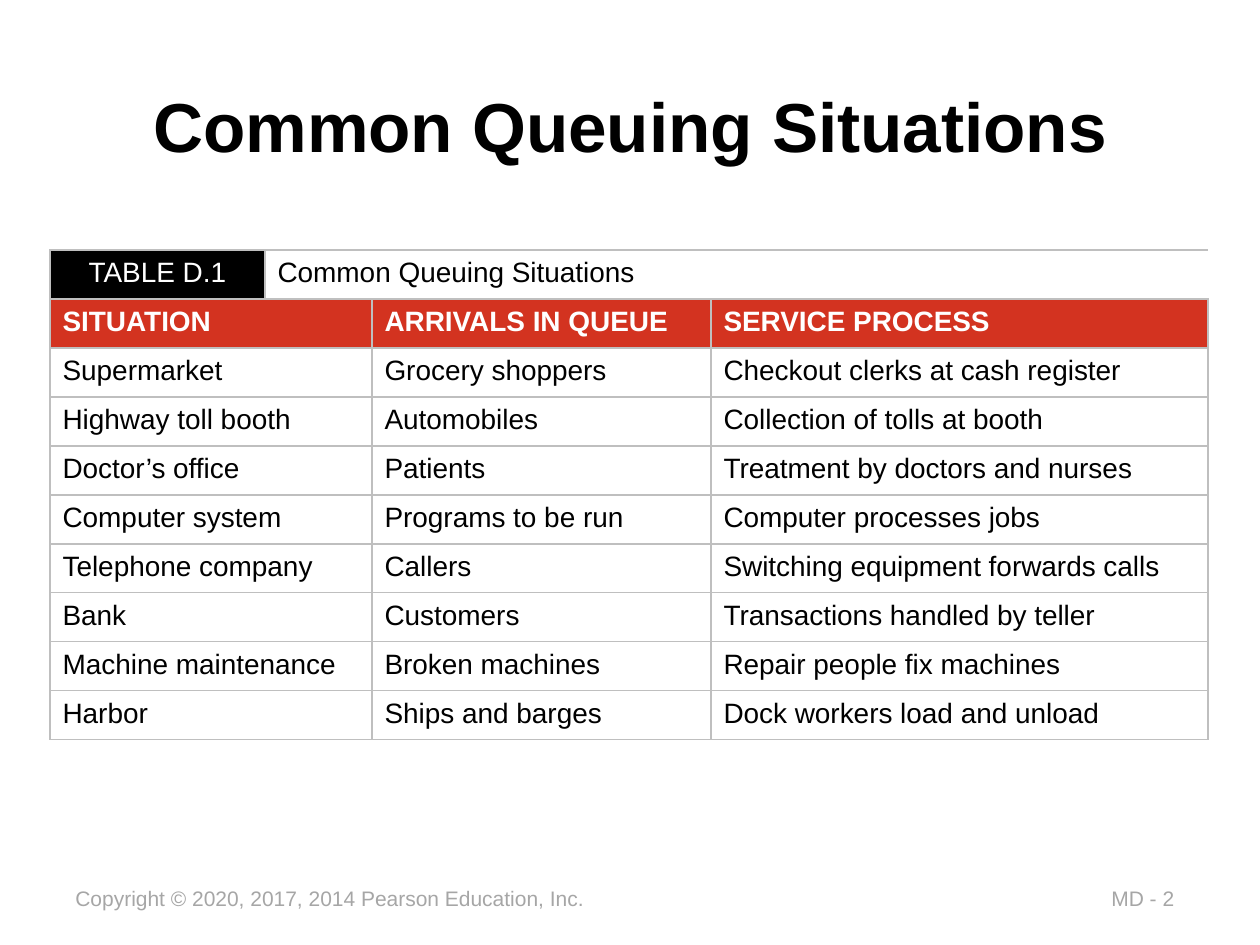
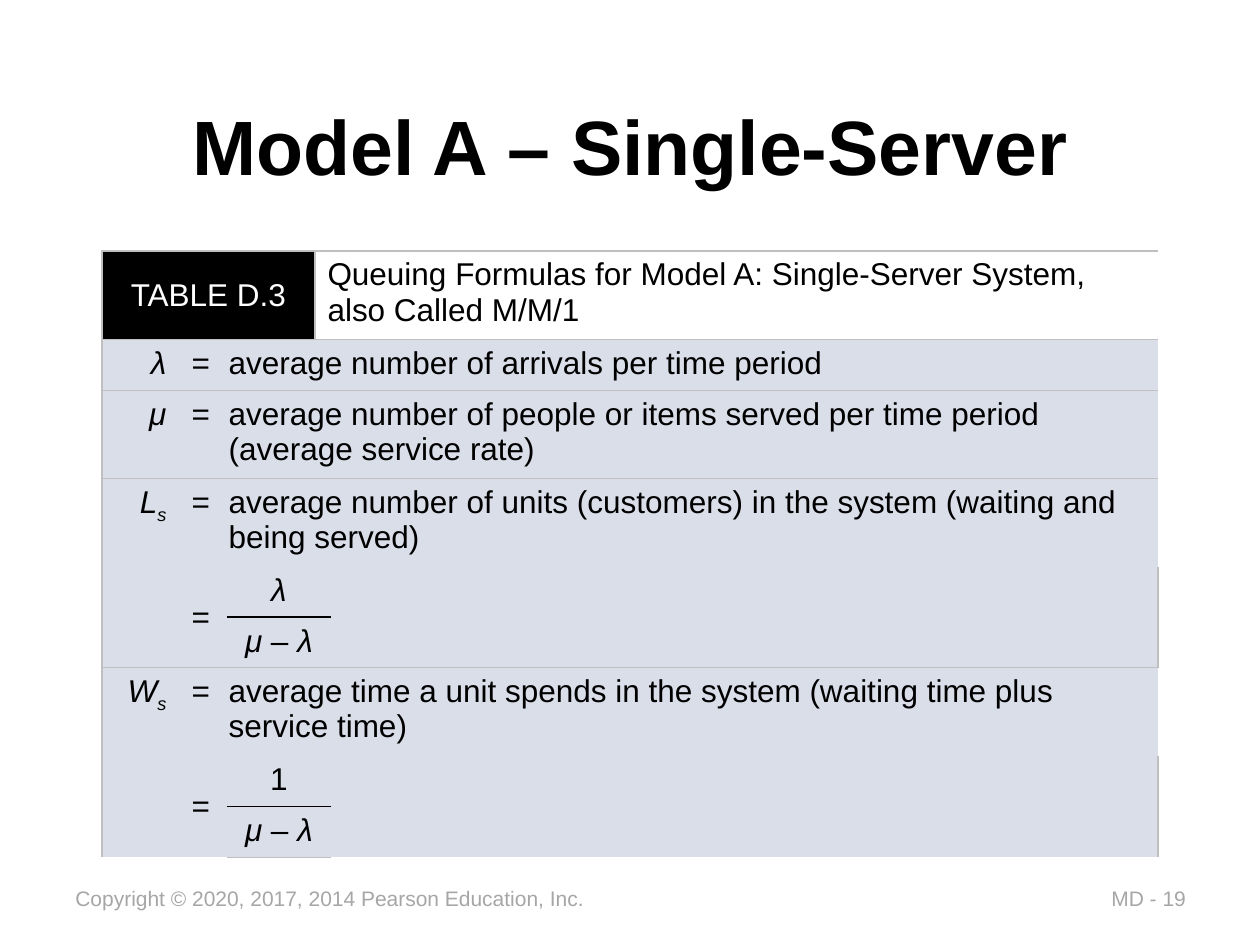
"""Builds two slides on queuing models, each with a title, a table and a footer."""
import pptx
import pptx.util
import pptx.dml.color
import pptx.enum.text
import pptx.oxml.ns
import lxml.etree

SCALE = 914400 / 126
BLACK, WHITE, GREY, RULE = "000000", "FFFFFF", "A6A6A6", "BFBFBF"
RED, PALE = "D33320", "D9DEE9"
ALIGN = pptx.enum.text.PP_ALIGN
MIDDLE = pptx.enum.text.MSO_ANCHOR.MIDDLE
TOP = pptx.enum.text.MSO_ANCHOR.TOP
GRID = dict.fromkeys("LRTB", RULE)


def px(count):
    return pptx.util.Emu(round(count * SCALE))


def hue(code):
    return pptx.dml.color.RGBColor.from_string(code)


class Deck:
    def __init__(self, font):
        self.font = font
        self.show = pptx.Presentation()
        self.show.slide_width, self.show.slide_height = px(1260), px(945)
        self.slide = None

    def ink(self, para, runs, size, color=BLACK, align=ALIGN.LEFT):
        para.alignment = align
        for text, style in runs:
            run = para.add_run()
            run.text = text
            font = run.font
            font.name, font.size = self.font, pptx.util.Pt(size)
            font.color.rgb = hue(color)
            font.bold, font.italic = "b" in style, "i" in style
            if "s" in style:
                run._r.get_or_add_rPr().set("baseline", "-25000")

    def start(self, title, box, size, page):
        self.slide = self.show.slides.add_slide(self.show.slide_layouts[5])
        head = self.slide.shapes.title
        head.left, head.top, head.width, head.height = map(px, box)
        head.text_frame.vertical_anchor = MIDDLE
        self.ink(head.text_frame.paragraphs[0], [(title, "b")], size, align=ALIGN.CENTER)
        self.note(63, 539, "Copyright © 2020, 2017, 2014 Pearson Education, Inc.")
        self.note(1099, 103, f"MD - {page}")

    def note(self, left, width, text):
        frame = self.slide.shapes.add_textbox(px(left), px(879), px(width), px(38)).text_frame
        frame.word_wrap = False
        self.ink(frame.paragraphs[0], [(text, "")], 12, GREY)

    def table(self, left, top, cols, rows):
        grid = self.slide.shapes.add_table(
            len(rows), len(cols), px(left), px(top), px(sum(cols)), px(sum(rows))).table
        grid.first_row = grid.horz_banding = False
        for col, width in zip(grid.columns, cols):
            col.width = px(width)
        for row, height in zip(grid.rows, rows):
            row.height = px(height)
        return grid

    def edge(self, cell, lines):
        props = cell._tc.get_or_add_tcPr()
        qn = pptx.oxml.ns.qn
        for side in "LRTB":
            line = lxml.etree.SubElement(props, qn(f"a:ln{side}"), w="12700")
            if side in lines:
                fill = lxml.etree.SubElement(line, qn("a:solidFill"))
                lxml.etree.SubElement(fill, qn("a:srgbClr"), val=lines[side])
            else:
                lxml.etree.SubElement(line, qn("a:noFill"))

    def cell(self, grid, row, col, runs, size, span=(1, 1), fill=None, lines=GRID,
             anchor=MIDDLE, hang=0, space=None, **look):
        last, end = row + span[0] - 1, col + span[1] - 1
        for y in range(row, last + 1):
            for x in range(col, end + 1):
                outer = {"L": x == col, "R": x == end, "T": y == row, "B": y == last}
                part = grid.cell(y, x)
                self.edge(part, {side: tint for side, tint in lines.items() if outer[side]})
                if fill:
                    part.fill.solid()
                    part.fill.fore_color.rgb = hue(fill)
                else:
                    part.fill.background()
        first = grid.cell(row, col)
        if span != (1, 1):
            first.merge(grid.cell(last, end))
        first.vertical_anchor = anchor
        para = first.text_frame.paragraphs[0]
        if hang:
            props = para._p.get_or_add_pPr()
            props.set("marL", str(px(hang)))
            props.set("indent", str(-px(hang)))
        if space:
            para.line_spacing = space
        self.ink(para, runs, size, **look)


def list_cases(deck):
    cases = [
        ("SITUATION", "ARRIVALS IN QUEUE", "SERVICE PROCESS"),
        ("Supermarket", "Grocery shoppers", "Checkout clerks at cash register"),
        ("Highway toll booth", "Automobiles", "Collection of tolls at booth"),
        ("Doctor’s office", "Patients", "Treatment by doctors and nurses"),
        ("Computer system", "Programs to be run", "Computer processes jobs"),
        ("Telephone company", "Callers", "Switching equipment forwards calls"),
        ("Bank", "Customers", "Transactions handled by teller"),
        ("Machine maintenance", "Broken machines", "Repair people fix machines"),
        ("Harbor", "Ships and barges", "Dock workers load and unload"),
    ]
    deck.start("Common Queuing Situations", (95, 32, 1071, 185), 39.6, 2)
    grid = deck.table(50, 250, [215, 107, 339, 497], [49] * 10)
    deck.cell(grid, 0, 0, [("TABLE D.1", "")], 16, fill=BLACK, space=0.9,
              color=WHITE, align=ALIGN.CENTER)
    deck.cell(grid, 0, 1, [("Common Queuing Situations", "")], 16, (1, 3), space=0.9)
    for row, case in enumerate(cases, 1):
        head = row == 1
        for col, span, text in zip((0, 2, 3), (2, 1, 1), case):
            deck.cell(grid, row, col, [(text, "b" if head else "")], 16, (1, span),
                      fill=RED if head else None, space=0.9,
                      color=WHITE if head else BLACK)


def list_terms(deck):
    lower = [("μ", "i"), (" – ", ""), ("λ", "i")]
    terms = [
        ([("λ", "i")], "average number of arrivals per time period", None),
        ([("μ", "i")], "average number of people or items served per time period "
         "(average service rate)", None),
        ([("L", "i"), ("s", "is")], "average number of units (customers) in the system "
         "(waiting and being served)", [("λ", "i")]),
        ([("W", "i"), ("s", "is")], "average time a unit spends in the system "
         "(waiting time plus service time)", [("1", "")]),
    ]
    deck.start("Model A – Single-Server", (73, 79, 1115, 131), 44, 19)
    grid = deck.table(102, 251, [77, 48, 88, 16, 827], [83, 51, 83, 83, 48, 48, 83, 48, 51])

    def put(row, col, runs, span, sides, fill=PALE, anchor=TOP, **look):
        lines = {side.upper(): BLACK if side.islower() else RULE for side in sides}
        deck.cell(grid, row, col, runs, 18, span, fill, lines, anchor, **look)

    put(0, 0, [("TABLE D.3", "")], (1, 3), "LRTB", BLACK, MIDDLE,
        color=WHITE, align=ALIGN.CENTER)
    put(0, 3, [("Queuing Formulas for Model A: Single-Server System, also Called M/M/1", "")],
        (1, 2), "LRTB", None)
    row = 1
    for sign, text, upper in terms:
        tall = 3 if upper else 1
        put(row, 0, sign, (tall, 1), "LTB", align=ALIGN.RIGHT)
        put(row, 1, [("=\t" + text, "")], (1, 4), "TR" if upper else "TRB", hang=37)
        if upper:
            put(row + 1, 1, [("=", "")], (2, 1), "B", anchor=MIDDLE, hang=24)
            put(row + 1, 2, upper, (1, 2), "b", align=ALIGN.CENTER)
            put(row + 2, 2, lower, (1, 2), "tB", align=ALIGN.CENTER)
            put(row + 1, 4, [], (2, 1), "RB")
        row += tall


def main():
    deck = Deck("Arial")
    list_cases(deck)
    list_terms(deck)
    deck.show.save("out.pptx")


if __name__ == "__main__":
    main()
